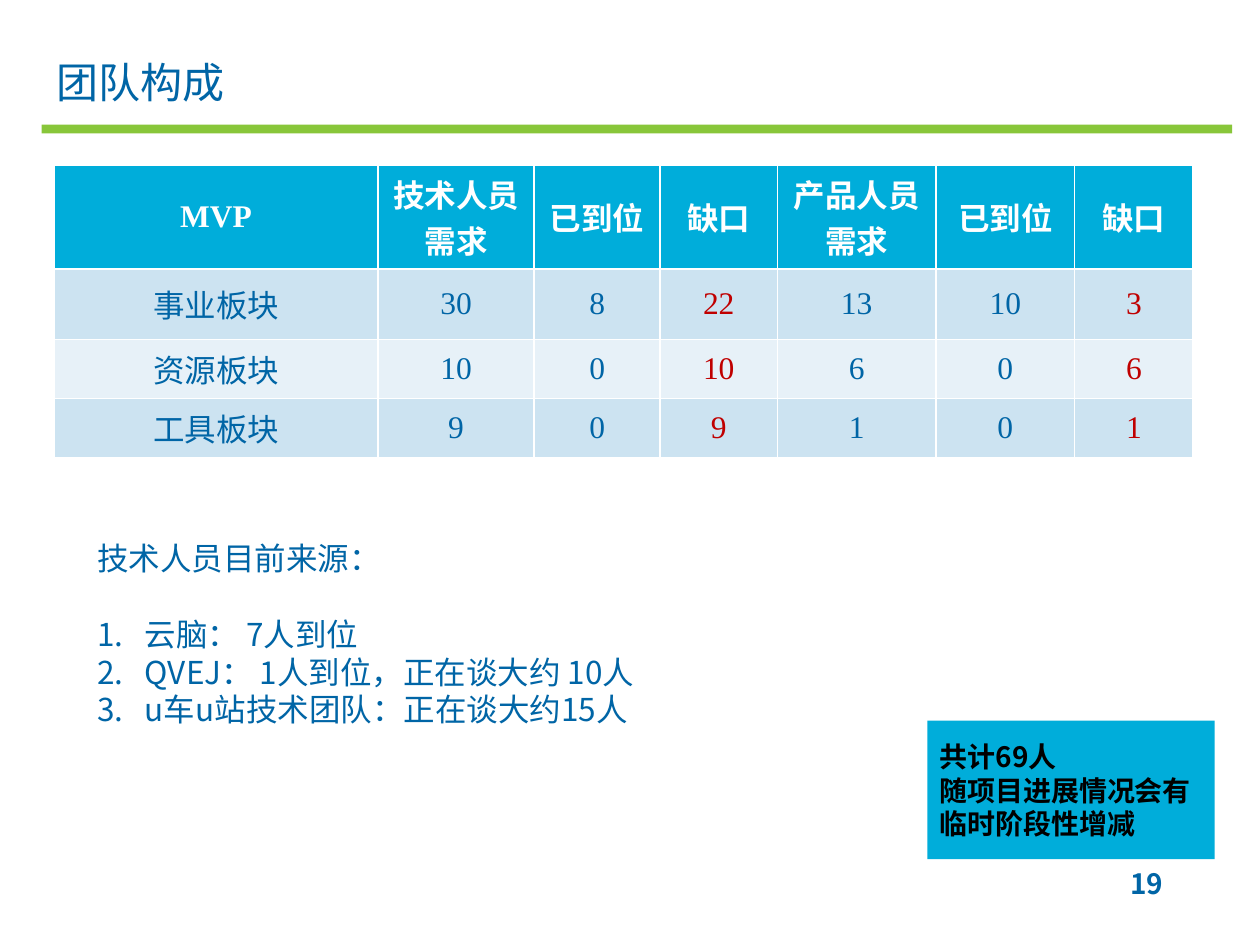
from lxml.etree import SubElement
from pptx import Presentation
from pptx.dml.color import RGBColor
from pptx.enum.shapes import MSO_SHAPE as Shape
from pptx.enum.text import MSO_ANCHOR as Anchor, MSO_AUTO_SIZE as AutoSize, PP_ALIGN as Align
from pptx.oxml.ns import qn
from pptx.util import Inches, Pt

COLORS = {"blue": "0065A6", "cyan": "00ADDA", "green": "88C63A", "red": "C00000",
          "band": "CCE3F1", "pale": "E7F1F8", "white": "FFFFFF", "black": "000000"}
SANS, SERIF = "Noto Sans CJK SC", "Times New Roman"


def style(paragraph, size, color, bold=False, face=SANS, align=Align.LEFT):
    font = paragraph.font
    font.size, font.bold, font.name = Pt(size), bold, face
    font.color.rgb = RGBColor.from_string(COLORS[color])
    SubElement(font._element, qn("a:ea"), typeface=SANS)
    paragraph.alignment = align


def paint(part, color):
    part.fill.solid()
    part.fill.fore_color.rgb = RGBColor.from_string(COLORS[color])


prs = Presentation()
prs.slide_width, prs.slide_height = Inches(10), Inches(7.5)
slide = prs.slides.add_slide(prs.slide_layouts[1])
title, sources = slide.placeholders

# Title and the rule under it
title.left, title.top, title.width, title.height = map(Inches, (0.35, 0.38, 9.37, 0.53))
title.text_frame.text = "团队构成"
title.text_frame.vertical_anchor = Anchor.MIDDLE
title.text_frame.auto_size = AutoSize.NONE
style(title.text_frame.paragraphs[0], 24, "blue")

rule = slide.shapes.add_shape(Shape.RECTANGLE, *map(Inches, (0.33, 0.99, 9.45, 0.07)))
rule.shadow.inherit = False
rule.line.fill.background()
paint(rule, "green")

# Staffing table
staffing = [
    ["MVP", "技术人员需求", "已到位", "缺口", "产品人员需求", "已到位", "缺口"],
    ["事业板块", 30, 8, 22, 13, 10, 3],
    ["资源板块", 10, 0, 10, 6, 0, 6],
    ["工具板块", 9, 0, 9, 1, 0, 1],
]
column_widths = [2.57, 1.24, 1, 0.93, 1.26, 1.1, 0.94]
row_heights = [0.82, 0.56, 0.47, 0.47]
table = slide.shapes.add_table(len(row_heights), len(column_widths), Inches(0.43), Inches(1.31),
                               Inches(sum(column_widths)), Inches(sum(row_heights))).table
for column, width in zip(table.columns, column_widths):
    column.width = Inches(width)
for r, (entries, height) in enumerate(zip(staffing, row_heights)):
    table.rows[r].height = Inches(height)
    for c, entry in enumerate(entries):
        cell = table.cell(r, c)
        cell.text = str(entry)
        cell.vertical_anchor = Anchor.MIDDLE
        header, gap = r == 0, staffing[0][c] == "缺口"
        paint(cell, "cyan" if header else "band" if r % 2 else "pale")
        style(cell.text_frame.paragraphs[0], 18,
              "white" if header else "red" if gap else "blue", bold=header,
              face=SANS if c == 0 and not header else SERIF, align=Align.CENTER)

# Where the technical staff come from
sources.left, sources.top, sources.width, sources.height = map(Inches, (0.67, 4.23, 4.5, 2.3))
frame = sources.text_frame
frame.word_wrap, frame.auto_size = True, AutoSize.NONE
frame.text = "\n".join(["技术人员目前来源：", "云脑： 7人到位",
                        "QVEJ： 1人到位，正在谈大约 10人", "u车u站技术团队：正在谈大约15人"])
for i, line in enumerate(frame.paragraphs):
    line.space_before = Pt(0)
    line.space_after = Pt(0 if i else 21.6)
    line.line_spacing = Pt(21.6)
    indent = Inches(0.38) if i else 0
    props = line._p.get_or_add_pPr()
    props.set("marL", str(indent))
    props.set("indent", str(-indent))
    if i:
        SubElement(props, qn("a:buFont"), typeface="+mj-lt")
        SubElement(props, qn("a:buAutoNum"), type="arabicPeriod")
    else:
        SubElement(props, qn("a:buNone"))
    style(line, 18, "blue")

# Total headcount
total = slide.shapes.add_shape(Shape.RECTANGLE, *map(Inches, (7.36, 5.72, 2.28, 1.1)))
total.shadow.inherit = False
total.line.fill.background()
paint(total, "cyan")
total.text_frame.text = "共计69人\n随项目进展情况会有临时阶段性增减"
total.text_frame.vertical_anchor = Anchor.MIDDLE
for line in total.text_frame.paragraphs:
    line.line_spacing = Pt(19.2)
    style(line, 16, "black", bold=True)

# Page number
page = slide.shapes.add_textbox(*map(Inches, (7, 6.83, 2.33, 0.52))).text_frame
page.word_wrap = True
page.text = "19"
style(page.paragraphs[0], 16, "blue", bold=True, align=Align.RIGHT)

prs.save("out.pptx")
